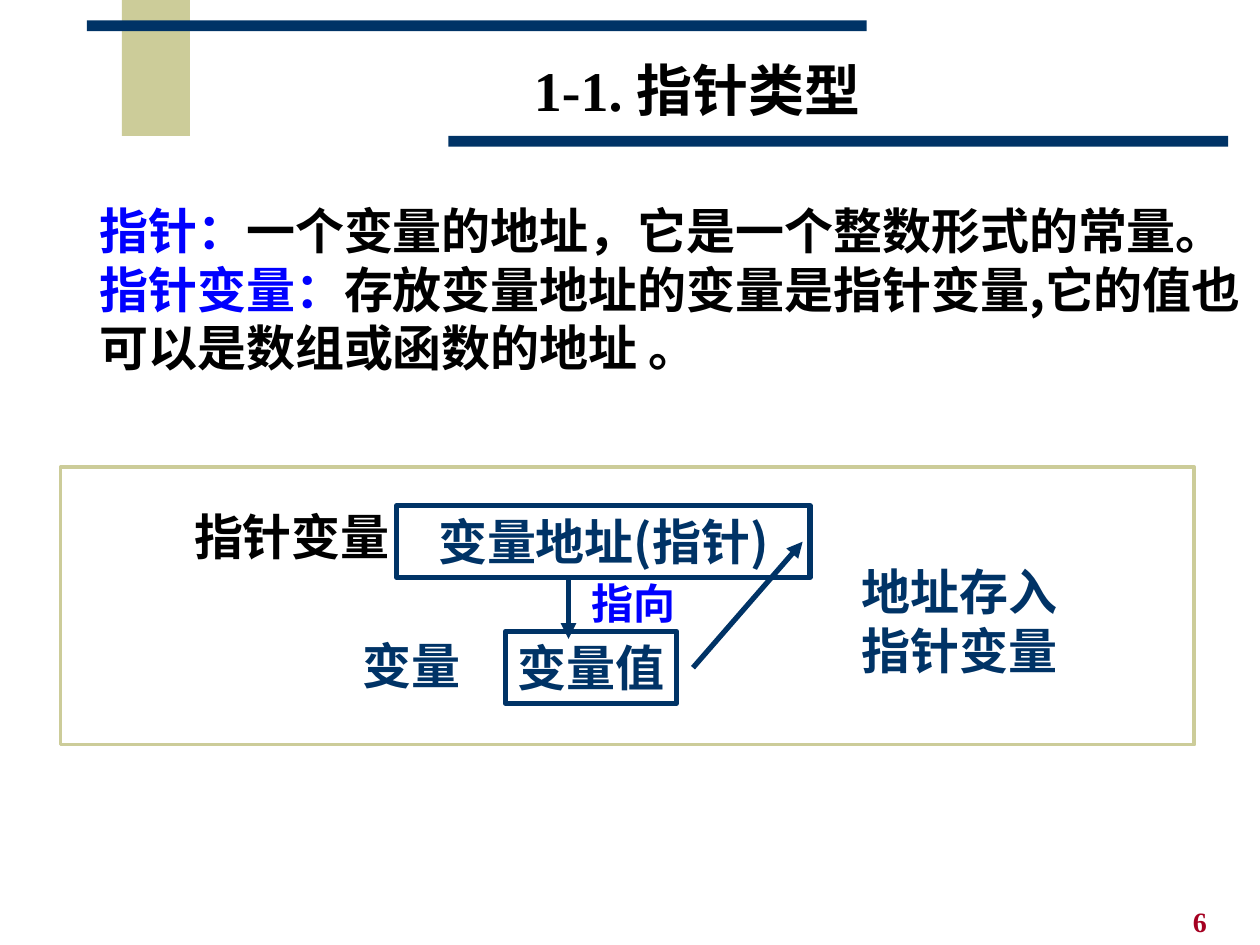
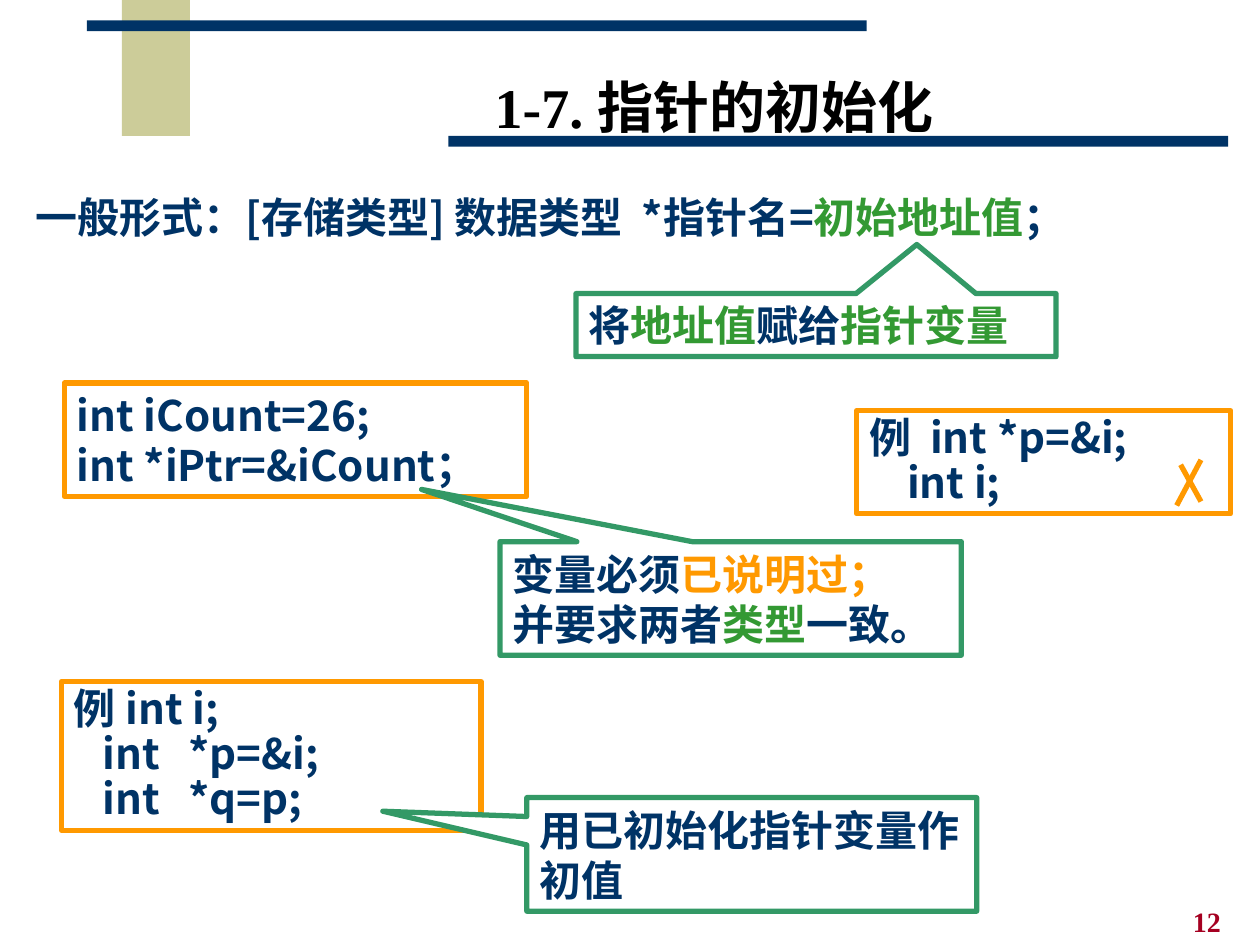
from lxml import etree
from pptx import Presentation
from pptx import util as u
from pptx.dml.color import RGBColor
from pptx.enum import shapes, text
from pptx.oxml.ns import qn

COLOURS = {
    "navy": "003366", "sand": "CCCC99", "white": "FFFFFF", "black": "000000",
    "blue": "0000FF", "red": "A50021", "orange": "FF9900",
    "frame_green": "339966", "text_green": "339933",
}
SANS = "Noto Sans CJK SC"
SERIF = "Times New Roman"
CENTER = text.PP_ALIGN.CENTER
LEFT = text.PP_ALIGN.LEFT
RECTANGLE = shapes.MSO_SHAPE.RECTANGLE
CALLOUT = shapes.MSO_SHAPE.RECTANGULAR_CALLOUT


def colour(name):
    return RGBColor.from_string(COLOURS[name])


def lengths(values):
    return [u.Cm(value) for value in values]


class Page:
    def __init__(self, deck, number, title, title_place):
        self.slide = deck.slides.add_slide(deck.slide_layouts[1])
        self.box((2.46, 0, 1.37, 2.74), fill="sand")
        self.box((1.75, 0.41, 15.72, 0.22), fill="navy")
        self.box((9.04, 2.74, 15.72, 0.22), fill="navy")
        self.placeholder(0, title_place, [title], size=32, ink="black", font=SERIF,
                         align=CENTER, spacing=0.85)
        self.label((23.8, 18.11, 1.6, 0.94), [number], size=16, ink="red", align=LEFT)

    def set_text(self, box, lines, size=24, ink="navy", font=SANS, align=LEFT,
                 spacing=1.0, anchor=text.MSO_ANCHOR.MIDDLE, wrap=True):
        frame = box.text_frame
        frame.word_wrap = wrap
        frame.auto_size = text.MSO_AUTO_SIZE.NONE
        frame.vertical_anchor = anchor
        for index, line in enumerate(lines):
            para = frame.add_paragraph() if index else frame.paragraphs[0]
            para.alignment = align
            para.line_spacing = spacing
            para.space_before = u.Pt(0)
            properties = para._p.get_or_add_pPr()
            properties.set("marL", "0")
            properties.set("indent", "0")
            etree.SubElement(properties, qn("a:buNone"))
            para.font.size = u.Pt(size)
            para.font.bold = True
            para.font.name = font
            east_asian = etree.SubElement(properties.find(qn("a:defRPr")), qn("a:ea"))
            east_asian.set("typeface", SANS)
            if isinstance(line, str):
                para.font.color.rgb = colour(ink)
                para.add_run().text = line
                continue
            for words, shade in line:
                span = para.add_run()
                span.text = words
                span.font.color.rgb = colour(shade)

    def placeholder(self, index, place, lines, **style):
        holder = self.slide.placeholders[index]
        holder.left, holder.top, holder.width, holder.height = lengths(place)
        self.set_text(holder, lines, **style)

    def body(self, place, lines, **style):
        self.placeholder(1, place, lines, anchor=text.MSO_ANCHOR.TOP, **style)

    def label(self, place, lines, size=28, ink="navy", align=CENTER):
        box = self.slide.shapes.add_textbox(*lengths(place))
        self.set_text(box, lines, size=size, ink=ink, font=SERIF, align=align, wrap=False)

    def box(self, place, lines=(), fill=None, line=None, width=3, kind=RECTANGLE, **style):
        box = self.slide.shapes.add_shape(kind, *lengths(place))
        box.shadow.inherit = False
        if fill:
            box.fill.solid()
            box.fill.fore_color.rgb = colour(fill)
        else:
            box.fill.background()
        if line:
            box.line.color.rgb = colour(line)
            box.line.width = u.Pt(width)
        else:
            box.line.fill.background()
        if lines:
            self.set_text(box, lines, **style)
        return box

    def callout(self, place, pointer, lines):
        box = self.box(place, lines, fill="white", line="frame_green", kind=CALLOUT)
        box.adjustments[0], box.adjustments[1] = pointer

    def code(self, place, lines, spacing=0.9):
        self.box(place, lines, line="orange", spacing=spacing)

    def variable(self, place, name):
        self.box(place, [name], fill="white", line="navy", size=28,
                 align=CENTER, wrap=False)

    def stroke(self, start, end, ink, arrow=False):
        line = self.slide.shapes.add_connector(
            shapes.MSO_CONNECTOR.STRAIGHT, *lengths(start + end))
        line.line.color.rgb = colour(ink)
        line.line.width = u.Pt(3)
        properties = line._element.spPr
        if arrow:
            tail = etree.SubElement(properties.find(qn("a:ln")), qn("a:tailEnd"))
            tail.set("type", "triangle")
        etree.SubElement(properties, qn("a:effectLst"))


def pointer_types(deck):
    page = Page(deck, "6", "1-1. 指针类型", (3.81, 0.64, 20.5, 2.54))
    page.body((1.75, 3.91, 23.65, 3.81), [
        [("指针：", "blue"), ("一个变量的地址，它是一个整数形式的常量。", "black")],
        [("指针变量：", "blue"),
         ("存放变量地址的变量是指针变量,它的值也可以是数组或函数的地址 。", "black")],
    ], size=28)
    page.box((1.22, 9.42, 22.86, 5.59), fill="white", line="sand", width=2.25)
    page.label((3.66, 10.08, 4.45, 1.45), ["指针变量"], ink="black")
    page.label((7.06, 12.67, 2.46, 1.45), ["变量"])
    page.variable((8, 10.19, 8.33, 1.45), "变量地址(指针)")
    page.variable((10.19, 12.73, 3.45, 1.45), "变量值")
    page.stroke((11.46, 11.66), (11.46, 12.88), "navy", arrow=True)
    page.label((11.63, 11.51, 2.29, 1.27), ["指向"], size=24, ink="blue")
    page.stroke((13.97, 13.46), (16.18, 10.92), "navy", arrow=True)
    page.label((16.99, 11.18, 4.7, 2.64), ["地址存入", "指针变量"])


def pointer_initialisation(deck):
    page = Page(deck, "12", "1-7. 指针的初始化", (6.4, 1.45, 16, 1.6))
    page.body((0.46, 3.73, 24.46, 1.6), [
        [("一般形式：[存储类型] 数据类型  *指针名=", "navy"),
         ("初始地址值", "text_green"), ("；", "navy")],
    ])
    page.callout((11.61, 5.92, 9.68, 1.27), (0.21, -1.28), [
        [("将", "navy"), ("地址值", "text_green"),
         ("赋给", "navy"), ("指针变量", "text_green")],
    ])
    page.code((1.3, 7.72, 9.32, 2.29), ["int iCount=26;", "int *iPtr=&iCount；"], spacing=1.0)
    page.callout((10.08, 10.92, 9.3, 2.29), (-0.67, -0.96), [
        [("变量必须", "navy"), ("已说明过；", "orange")],
        [("并要求两者", "navy"), ("类型", "text_green"), ("一致。", "navy")],
    ])
    page.code((17.27, 8.28, 7.54, 2.08), ["例  int *p=&i;", "    int i;"])
    page.stroke((24.21, 9.27), (23.72, 10.19), "orange")
    page.stroke((23.8, 9.37), (24.21, 10.11), "orange")
    page.code((1.24, 13.74, 8.46, 3), ["例 int i;", "   int   *p=&i;", "   int   *q=p;"])
    page.callout((10.62, 16.08, 9.07, 2.29), (-0.82, -0.38), ["用已初始化指针变量作初值"])


def main():
    deck = Presentation()
    deck.slide_width, deck.slide_height = lengths((25.4, 19.05))
    pointer_types(deck)
    pointer_initialisation(deck)
    deck.save("out.pptx")


if __name__ == "__main__":
    main()
